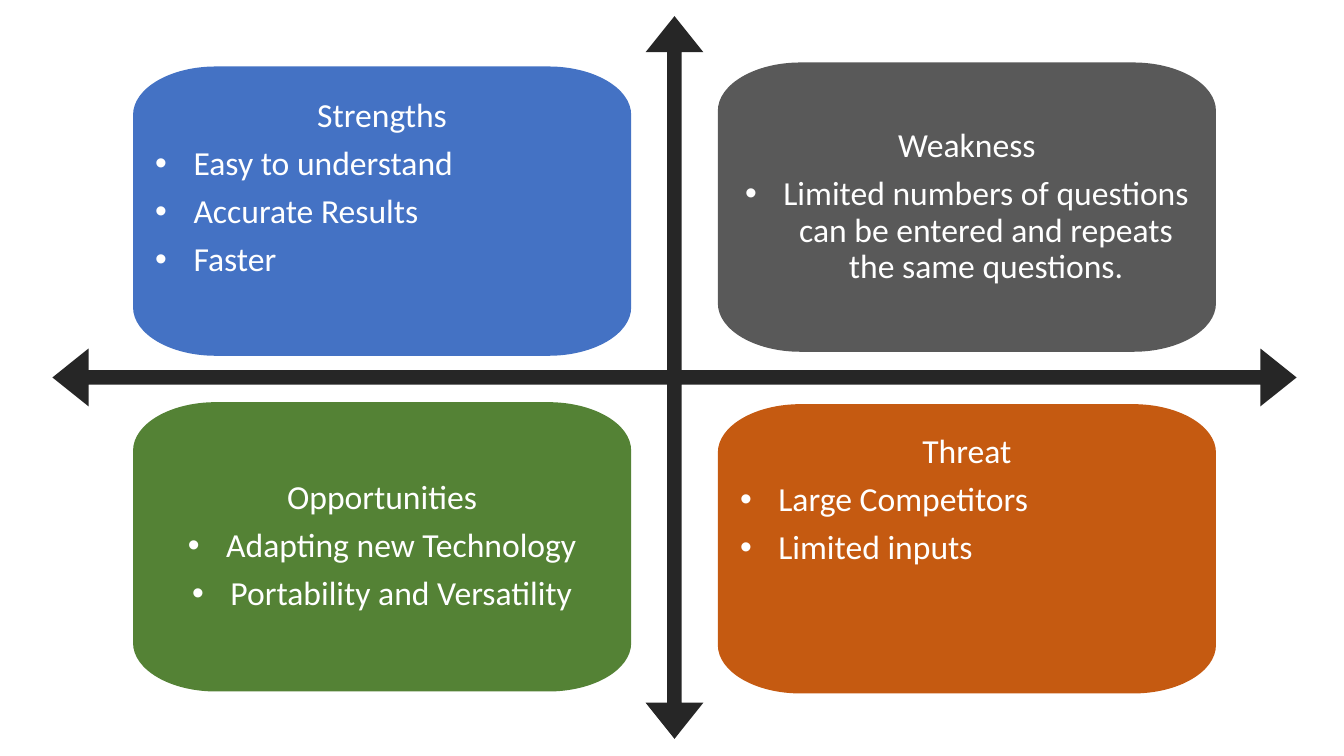
from lxml.etree import SubElement
from pptx import Presentation
from pptx.dml.color import RGBColor
from pptx.enum.shapes import MSO_SHAPE as Preset
from pptx.enum.text import MSO_ANCHOR as Anchor, PP_ALIGN as Align
from pptx.oxml.ns import qn
from pptx.util import Inches, Pt

COLORS = {"arrows": "262626", "text": "FFFFFF", "strengths": "4472C4",
          "weakness": "595959", "opportunities": "548235", "threat": "C55A11"}
FONT, FONT_SIZE = "Calibri", 24

# heading, colour, left, top, bullet alignment, top inset (None: centred), bullets
QUADRANTS = [
    ("Strengths", "strengths", 1.32, 0.66, Align.LEFT, 0.32,
     ["Easy to understand", "Accurate Results", "Faster"]),
    ("Weakness", "weakness", 7.12, 0.62, Align.CENTER, None,
     ["Limited numbers of questions can be entered and repeats the same questions."]),
    ("Opportunities", "opportunities", 1.32, 3.99, Align.CENTER, None,
     ["Adapting new Technology", "Portability and Versatility"]),
    ("Threat", "threat", 7.12, 4.01, Align.LEFT, 0.3,
     ["Large Competitors", "Limited inputs"]),
]
CARD_WIDTH, CARD_HEIGHT = 4.94, 2.87
CORNER_WIDTH, CORNER_HEIGHT = 0.82, 0.48
CURVE_PULL = 0.55
INSET, BULLET_INDENT = 0.22, 0.38
ARROW_BOX = (0.52, 0.16, 12.34, 7.17)
ARROW_ADJUSTMENTS = (0.02, 0.04, 0.05)


def paint(shape, color):
    """Give a shape a plain fill with no line or shadow."""
    shape.shadow.inherit = False
    shape.fill.solid()
    shape.fill.fore_color.rgb = RGBColor.from_string(COLORS[color])
    shape.line.fill.background()


def card_corners():
    """Return (start, box corner, end) of each rounded corner, clockwise."""
    right, bottom = CARD_WIDTH, CARD_HEIGHT
    near_x, far_x = CORNER_WIDTH, right - CORNER_WIDTH
    near_y, far_y = CORNER_HEIGHT, bottom - CORNER_HEIGHT
    return [((0, near_y), (0, 0), (near_x, 0)),
            ((far_x, 0), (right, 0), (right, near_y)),
            ((right, far_y), (right, bottom), (far_x, bottom)),
            ((near_x, bottom), (0, bottom), (0, far_y))]


def pull(point, corner):
    """Return the curve handle that leads from a point towards a corner."""
    return tuple(a + CURVE_PULL * (b - a) for a, b in zip(point, corner))


def add_card(slide, left, top):
    """Build a card whose four corners are single curves."""
    corners = card_corners()
    points = [(Inches(left + x), Inches(top + y))
              for start, _, end in corners for x, y in (start, end)]
    builder = slide.shapes.build_freeform(*points[0])
    builder.add_line_segments(points[1:], close=True)
    card = builder.convert_to_shape()
    segments = list(card._element.iter(qn("a:lnTo")))[::2]
    for segment, (start, corner, end) in zip(segments, corners):
        curve = segment.makeelement(qn("a:cubicBezTo"))
        for x, y in (pull(start, corner), pull(end, corner), end):
            SubElement(curve, qn("a:pt"), x=str(Inches(x)), y=str(Inches(y)))
        segment.getparent().replace(segment, curve)
    return card


def write_paragraph(paragraph, text, alignment, bullet=False):
    """Write one line of card text, with a hanging bullet if asked."""
    paragraph.alignment = alignment
    paragraph.line_spacing = 0.9
    paragraph.space_after = Pt(0.35 * FONT_SIZE)
    if bullet:
        properties = paragraph._p.get_or_add_pPr()
        properties.set("marL", str(Inches(BULLET_INDENT)))
        properties.set("indent", str(-Inches(BULLET_INDENT)))
        SubElement(properties, qn("a:buFont")).set("typeface", "Arial")
        SubElement(properties, qn("a:buChar")).set("char", "•")
    run = paragraph.add_run()
    run.text = text
    run.font.name = FONT
    run.font.size = Pt(FONT_SIZE)
    run.font.color.rgb = RGBColor.from_string(COLORS["text"])


def add_quadrant(slide, heading, color, left, top, alignment, top_inset, bullets):
    """Draw one card with its heading and bullets."""
    card = add_card(slide, left, top)
    paint(card, color)
    frame = card.text_frame
    frame.word_wrap = True
    frame.margin_left = frame.margin_right = frame.margin_bottom = Inches(INSET)
    frame.margin_top = Inches(top_inset or INSET)
    frame.vertical_anchor = Anchor.TOP if top_inset else Anchor.MIDDLE
    write_paragraph(frame.paragraphs[0], heading, Align.CENTER)
    for text in bullets:
        write_paragraph(frame.add_paragraph(), text, alignment, bullet=True)


def add_axes(slide):
    """Draw the four-way arrow that parts the cards."""
    arrows = slide.shapes.add_shape(Preset.QUAD_ARROW, *map(Inches, ARROW_BOX))
    for index, value in enumerate(ARROW_ADJUSTMENTS):
        arrows.adjustments[index] = value
    paint(arrows, "arrows")


presentation = Presentation()
presentation.slide_width = Inches(13.33)
presentation.slide_height = Inches(7.5)
slide = presentation.slides.add_slide(presentation.slide_layouts[6])
add_axes(slide)
for quadrant in QUADRANTS:
    add_quadrant(slide, *quadrant)
presentation.save("out.pptx")
